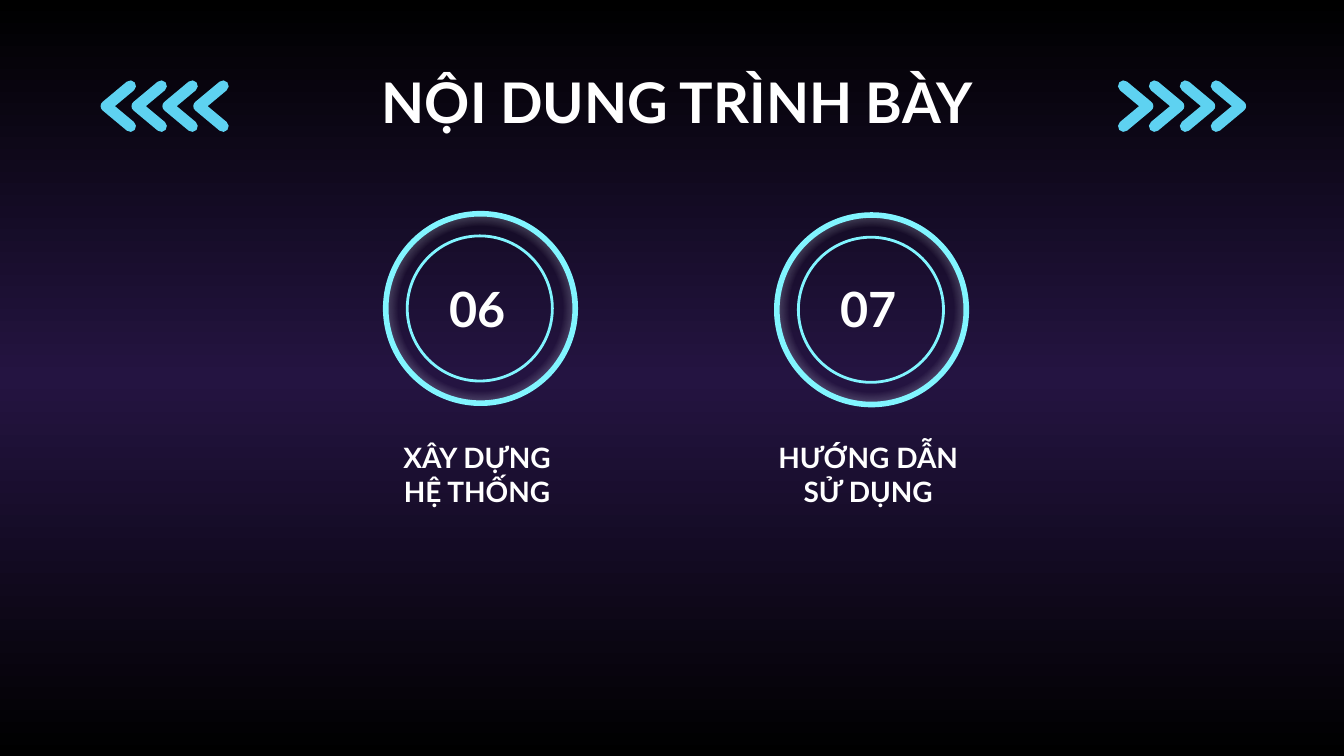
from dataclasses import dataclass

from lxml import etree
from pptx import Presentation
from pptx import util as u
from pptx.dml import color
from pptx.enum import shapes, text
from pptx.oxml import ns

COLORS = {
    "white": "FFFFFF",
    "black": "000000",
    "violet": "241441",
    "ring": "81F5FF",
    "chevron": "5ED2F1",
}
FONT = "Lato"
SLIDE_WIDTH, SLIDE_HEIGHT = u.Inches(10), u.Inches(5.625)
CELL = SLIDE_WIDTH / 100
TOPIC_PITCH = 29.1
CHEVRON_PITCH = 2.3


@dataclass
class Topic:
    number: str
    label: str
    column: int
    glow_row: float
    label_index: int
    number_index: int


@dataclass
class Arrows:
    left: float
    points_right: bool


TOPICS = [
    Topic("06", "XÂY DỰNG HỆ THỐNG", 0, 15.9, 1, 2),
    Topic("07", "HƯỚNG DẪN SỬ DỤNG", 1, 16, 3, 4),
]
ARROWS = [Arrows(83.6, True), Arrows(7.9, False)]


def cells(count: float) -> int:
    return round(count * CELL)


def rgb(name: str) -> color.RGBColor:
    return color.RGBColor.from_string(COLORS[name])


def set_gradient(properties, stops: list, direction: str) -> None:
    marks = "".join(
        f'<a:gs pos="{position * 1000}"><a:srgbClr val="{COLORS[name]}">'
        f'<a:alpha val="{opacity * 1000}"/></a:srgbClr></a:gs>'
        for position, name, opacity in stops
    )
    gradient = etree.fromstring(
        f'<a:gradFill {ns.nsdecls("a")} rotWithShape="1">'
        f"<a:gsLst>{marks}</a:gsLst>{direction}</a:gradFill>"
    )
    properties.replace(properties.find(ns.qn("a:solidFill")), gradient)


def paint_background(page) -> None:
    page.background.fill.solid()
    properties = page._element.find(".//" + ns.qn("p:bgPr"))
    stops = [(0, "black", 100), (50, "violet", 100), (100, "black", 100)]
    set_gradient(properties, stops, '<a:lin ang="5400000" scaled="0"/>')


def add_ring(page, left: float, top: float, size: float, weight: float, glow: bool = False) -> None:
    ring = page.shapes.add_shape(
        shapes.MSO_SHAPE.OVAL, cells(left), cells(top), cells(size), cells(size)
    )
    ring.shadow.inherit = False
    ring.line.color.rgb = rgb("ring")
    ring.line.width = u.Pt(weight)
    if not glow:
        ring.fill.background()
        return
    ring.fill.solid()
    stops = [(0, "white", 0), (61, "white", 0), (100, "chevron", 100)]
    center = '<a:path path="circle"><a:fillToRect l="50000" t="50000" r="50000" b="50000"/></a:path>'
    set_gradient(ring._element.spPr, stops, center)


def write(box, words: str, *, left: float, top: float, width: float, height: float,
          size: float, align=text.PP_ALIGN.CENTER, anchor=text.MSO_ANCHOR.MIDDLE) -> None:
    box.left, box.top = cells(left), cells(top)
    box.width, box.height = cells(width), cells(height)
    box._element.getparent().append(box._element)
    frame = box.text_frame
    frame.word_wrap = True
    frame.auto_size = text.MSO_AUTO_SIZE.NONE
    frame.vertical_anchor = anchor
    frame.margin_left = frame.margin_right = cells(1)
    frame.margin_top = frame.margin_bottom = cells(1)
    para = frame.paragraphs[0]
    para.alignment = align
    para.space_before = u.Pt(0)
    details = para._p.get_or_add_pPr()
    details.set("marL", "0")
    details.set("indent", "0")
    etree.SubElement(details, ns.qn("a:buNone"))
    span = para.add_run()
    span.text = words
    span.font.name = FONT
    span.font.size = u.Pt(size)
    span.font.bold = True
    span.font.color.rgb = rgb("white")


def add_chevrons(page, arrows: Arrows) -> None:
    group = page.shapes.add_group_shape()
    for step in range(4):
        near = arrows.left + step * CHEVRON_PITCH
        far = near + 1.8
        tail, tip = (near, far) if arrows.points_right else (far, near)
        outline = group.shapes.build_freeform(cells(tail), cells(9.4))
        outline.add_line_segments(
            [(cells(tip), cells(7.9)), (cells(tail), cells(6.4))], close=False
        )
        chevron = outline.convert_to_shape()
        chevron.shadow.inherit = False
        chevron.fill.background()
        chevron.line.color.rgb = rgb("chevron")
        chevron.line.width = u.Pt(6)
        stroke = chevron._element.spPr.find(ns.qn("a:ln"))
        stroke.set("cap", "rnd")
        etree.SubElement(stroke, ns.qn("a:round"))


def main() -> None:
    deck = Presentation()
    deck.slide_width, deck.slide_height = SLIDE_WIDTH, SLIDE_HEIGHT
    page = deck.slides.add_slide(deck.slide_layouts[4])
    paint_background(page)
    holders = {box.placeholder_format.idx: box for box in page.placeholders}

    for topic in TOPICS:
        shift = topic.column * TOPIC_PITCH
        add_ring(page, 30.3 + shift, topic.glow_row + 1.65, 10.8, 1.5)
        add_ring(page, 28.7 + shift, topic.glow_row, 14.1, 3, glow=True)

    write(holders[0], "NỘI DUNG TRÌNH BÀY", left=27.4, top=4, width=49.9, height=5.7,
          size=30, align=text.PP_ALIGN.LEFT, anchor=text.MSO_ANCHOR.TOP)
    for topic in TOPICS:
        shift = topic.column * TOPIC_PITCH
        write(holders[topic.label_index], topic.label, left=27.5 + shift, top=32.1,
              width=16, height=6.4, size=15)
        write(holders[topic.number_index], topic.number, left=30.8 + shift, top=20.1,
              width=9.5, height=5.7, size=26)

    for arrows in ARROWS:
        add_chevrons(page, arrows)
    deck.save("out.pptx")


if __name__ == "__main__":
    main()
